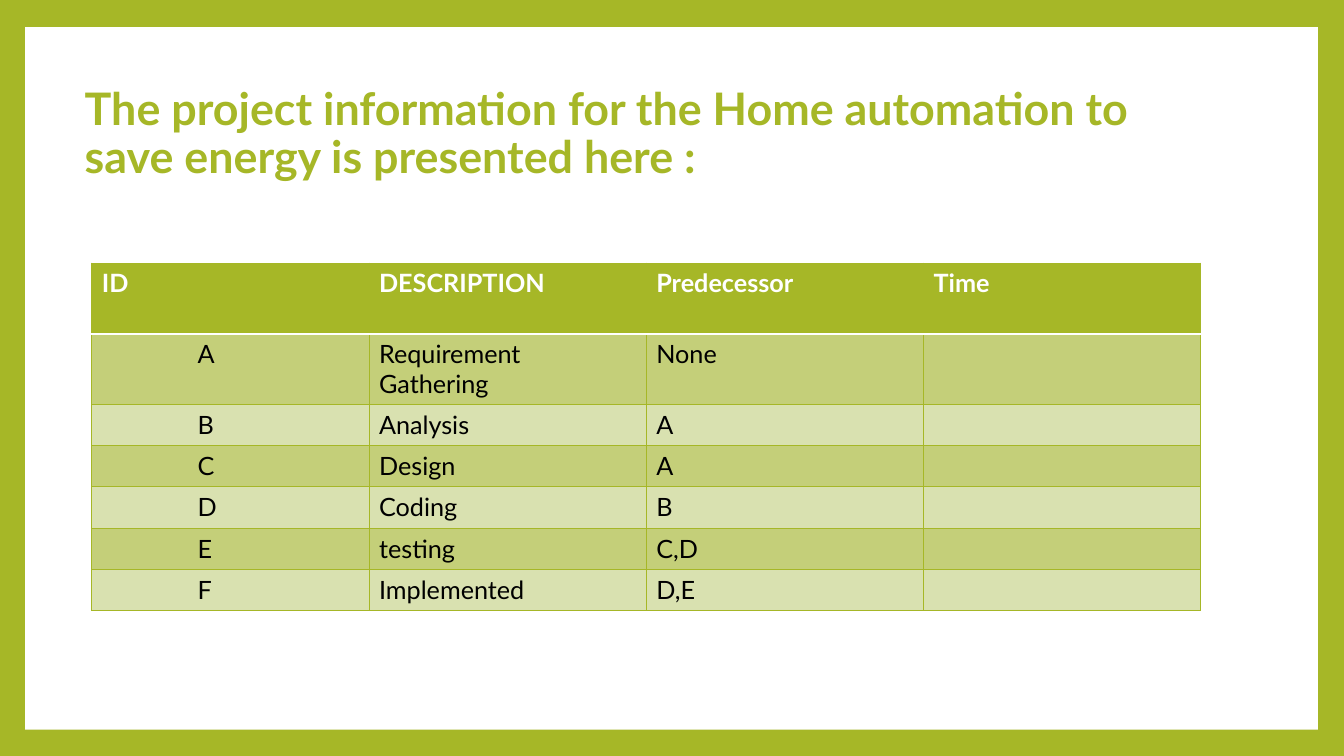
from pptx import Presentation
from pptx.dml.color import RGBColor
from pptx.enum import shapes, text
from pptx.oxml import parse_xml
from pptx.oxml.ns import nsdecls
from pptx.util import Inches, Pt

GREEN = RGBColor(0xA6, 0xB7, 0x27)
BAND_DARK = RGBColor(0xC4, 0xCF, 0x79)
BAND_LIGHT = RGBColor(0xD9, 0xE1, 0xB0)
WHITE = RGBColor(0xFF, 0xFF, 0xFF)
BLACK = RGBColor(0, 0, 0)
FONT = "Lato"


def set_font(p, size, color, bold):
    p.font.name = FONT
    p.font.size = Pt(size)
    p.font.color.rgb = color
    p.font.bold = bold


def add_border(cell, side, color, width):
    """Borders must be added before the cell's fill, in the order L, R, T, B."""
    cell._tc.get_or_add_tcPr().append(parse_xml(
        f'<a:ln{side} {nsdecls("a")} w="{Pt(width)}"><a:solidFill>'
        f'<a:srgbClr val="{color}"/></a:solidFill></a:ln{side}>'))


prs = Presentation()
prs.slide_width, prs.slide_height = Inches(13.33), Inches(7.5)
s = prs.slides.add_slide(prs.slide_layouts[5])

# Green frame around a white panel
s.background.fill.solid()
s.background.fill.fore_color.rgb = GREEN
panel = s.shapes.add_shape(shapes.MSO_SHAPE.RECTANGLE, Inches(0.25),
                           Inches(0.27), Inches(12.82), Inches(6.97))
panel.shadow.inherit = False
panel.fill.solid()
panel.fill.fore_color.rgb = WHITE
panel.line.fill.background()
s.shapes._spTree.insert(2, panel._element)  # behind the title

# Title
title = s.shapes.title
title.left, title.top = Inches(0.74), Inches(0.6)
title.width, title.height = Inches(10.8), Inches(1.48)
tf = title.text_frame
tf.text = ("The project information for the Home automation to save energy "
           "is presented here :")
tf.word_wrap = True
tf.auto_size = text.MSO_AUTO_SIZE.NONE
tf.vertical_anchor = text.MSO_ANCHOR.MIDDLE
p = tf.paragraphs[0]
p.alignment = text.PP_ALIGN.LEFT
p.line_spacing = 0.9
set_font(p, 32, GREEN, True)

# Task table
tasks = [
    ("ID", "DESCRIPTION", "Predecessor", "Time"),
    ("A", "Requirement Gathering", "None", ""),
    ("B", "Analysis", "A", ""),
    ("C", "Design", "A", ""),
    ("D", "Coding", "B", ""),
    ("E", "testing", "C,D", ""),
    ("F", "Implemented", "D,E", ""),
]
heights = [0.7, 0.7] + [0.41] * 5
table = s.shapes.add_table(len(tasks), 4, Inches(0.91), Inches(2.61),
                           Inches(11), Inches(sum(heights))).table
for row, height in zip(table.rows, heights):
    row.height = Inches(height)

for i, task in enumerate(tasks):
    header = i == 0
    for j, value in enumerate(task):
        cell = table.cell(i, j)
        cell.text = value
        set_font(cell.text_frame.paragraphs[0], 18,
                 WHITE if header else BLACK, header)
        if j == 0 and not header:
            cell.margin_left = Inches(1.05)
        for side in "LRTB":
            under_header = (i, side) in ((0, "B"), (1, "T"))
            add_border(cell, side, *((WHITE, 1.5) if under_header
                                     else (GREEN, 0.79)))
        cell.fill.solid()
        cell.fill.fore_color.rgb = (GREEN if header else
                                    BAND_DARK if i % 2 else BAND_LIGHT)

prs.save("out.pptx")
